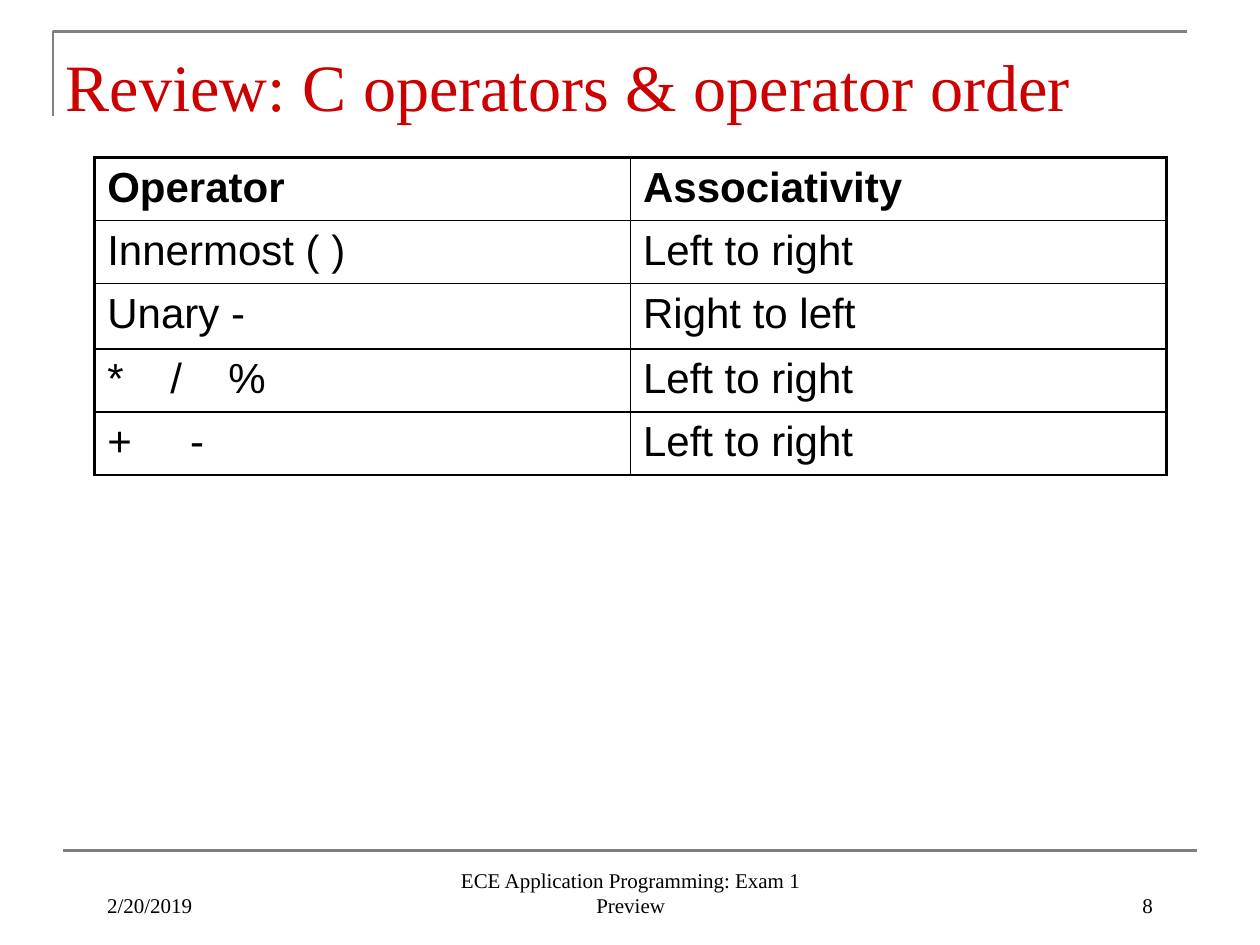
"""Build the slide reviewing C operators and their associativity."""
from lxml import etree
from pptx import Presentation
from pptx import util as u
from pptx.dml.color import RGBColor
from pptx.enum import shapes, text
from pptx.oxml import ns

COLORS = {"title": "CC0000", "rule": "808080", "ink": "000000", "paper": "FFFFFF"}


def format_text(paragraph, color, **values):
    paragraph.font.color.rgb = RGBColor.from_string(COLORS[color])
    for name, value in values.items():
        setattr(paragraph.font, name, value)


def set_border(cell, side, points):
    line = etree.SubElement(cell._tc.get_or_add_tcPr(), ns.qn(f"a:ln{side}"), w=str(u.Pt(points)))
    fill = etree.SubElement(line, ns.qn("a:solidFill"))
    etree.SubElement(fill, ns.qn("a:srgbClr"), val=COLORS["ink"])


presentation = Presentation()
presentation.slide_width, presentation.slide_height = u.Cm(25.4), u.Cm(19.05)
slide = presentation.slides.add_slide(presentation.slide_layouts[5])

builder = slide.shapes.build_freeform(u.Cm(1.07), u.Cm(2.34))
builder.add_line_segments([(u.Cm(1.07), u.Cm(0.64)), (u.Cm(23.93), u.Cm(0.64))], close=False)
corner_rule = builder.convert_to_shape()
corner_rule.fill.background()
corner_rule.shadow.inherit = False
footer_rule = slide.shapes.add_connector(
    shapes.MSO_CONNECTOR.STRAIGHT, u.Cm(1.27), u.Cm(17.15), u.Cm(24.13), u.Cm(17.15))
etree.SubElement(footer_rule._element.spPr, ns.qn("a:effectLst"))
for rule in (corner_rule, footer_rule):
    rule.line.color.rgb = RGBColor.from_string(COLORS["rule"])
    rule.line.width = u.Pt(1.5)

title = slide.shapes.title
title_box = {"left": 1.07, "top": 0.64, "width": 21.59, "height": 2.34}
for name, value in title_box.items():
    setattr(title, name, u.Cm(value))
title.text_frame.text = "Review: C operators & operator order"
title_format = {"auto_size": text.MSO_AUTO_SIZE.NONE, "margin_top": u.Cm(0.27),
                "vertical_anchor": text.MSO_ANCHOR.TOP}
for name, value in title_format.items():
    setattr(title.text_frame, name, value)
title_paragraph = title.text_frame.paragraphs[0]
title_paragraph.alignment = text.PP_ALIGN.LEFT
format_text(title_paragraph, "title", name="Times New Roman", size=u.Pt(37.8))

rows = [
    ("Operator", "Associativity"),
    ("Innermost ( )", "Left to right"),
    ("Unary -", "Right to left"),
    ("*\t/\t%", "Left to right"),
    ("+\t-", "Left to right"),
]
tab_stops = {"*\t/\t%": (1.27, 2.44), "+\t-": (1.67,)}
table = slide.shapes.add_table(
    len(rows), 2, u.Cm(1.91), u.Cm(3.18), u.Cm(21.6), u.Cm(6.4)).table
table.first_row = table.horz_banding = False
for row, height in zip(table.rows, (1.27, 1.27, 1.32, 1.27, 1.27)):
    row.height = u.Cm(height)
for row_index, labels in enumerate(rows):
    for column_index, label in enumerate(labels):
        cell = table.cell(row_index, column_index)
        outer_sides = {"L": column_index == 0, "R": column_index == 1, "T": row_index == 0, "B": False}
        for side, outer in outer_sides.items():
            set_border(cell, side, 2.25 if outer else 1)
        cell.fill.solid()
        cell.fill.fore_color.rgb = RGBColor.from_string(COLORS["paper"])
        cell.text = label
        paragraph = cell.text_frame.paragraphs[0]
        if label in tab_stops:
            tab_list = etree.SubElement(paragraph._p.get_or_add_pPr(), ns.qn("a:tabLst"))
            for position in tab_stops[label]:
                etree.SubElement(tab_list, ns.qn("a:tab"), pos=str(u.Cm(position)), algn="l")
        format_text(paragraph, "ink", name="Arial", size=u.Pt(24), bold=row_index == 0)

footers = [
    ("2/20/2019", 1.91, 5.28, text.PP_ALIGN.LEFT),
    ("ECE Application Programming: Exam 1 Preview", 8.69, 8.05, text.PP_ALIGN.CENTER),
    ("8", 18.21, 5.28, text.PP_ALIGN.RIGHT),
]
for label, left, width, alignment in footers:
    footer = slide.shapes.add_textbox(u.Cm(left), u.Cm(17.35), u.Cm(width), u.Cm(1.27))
    footer.text_frame.text = label
    footer.text_frame.word_wrap = True
    footer.text_frame.vertical_anchor = text.MSO_ANCHOR.BOTTOM
    paragraph = footer.text_frame.paragraphs[0]
    paragraph.alignment = alignment
    format_text(paragraph, "ink", name="Times New Roman", size=u.Pt(12))

presentation.save("out.pptx")
